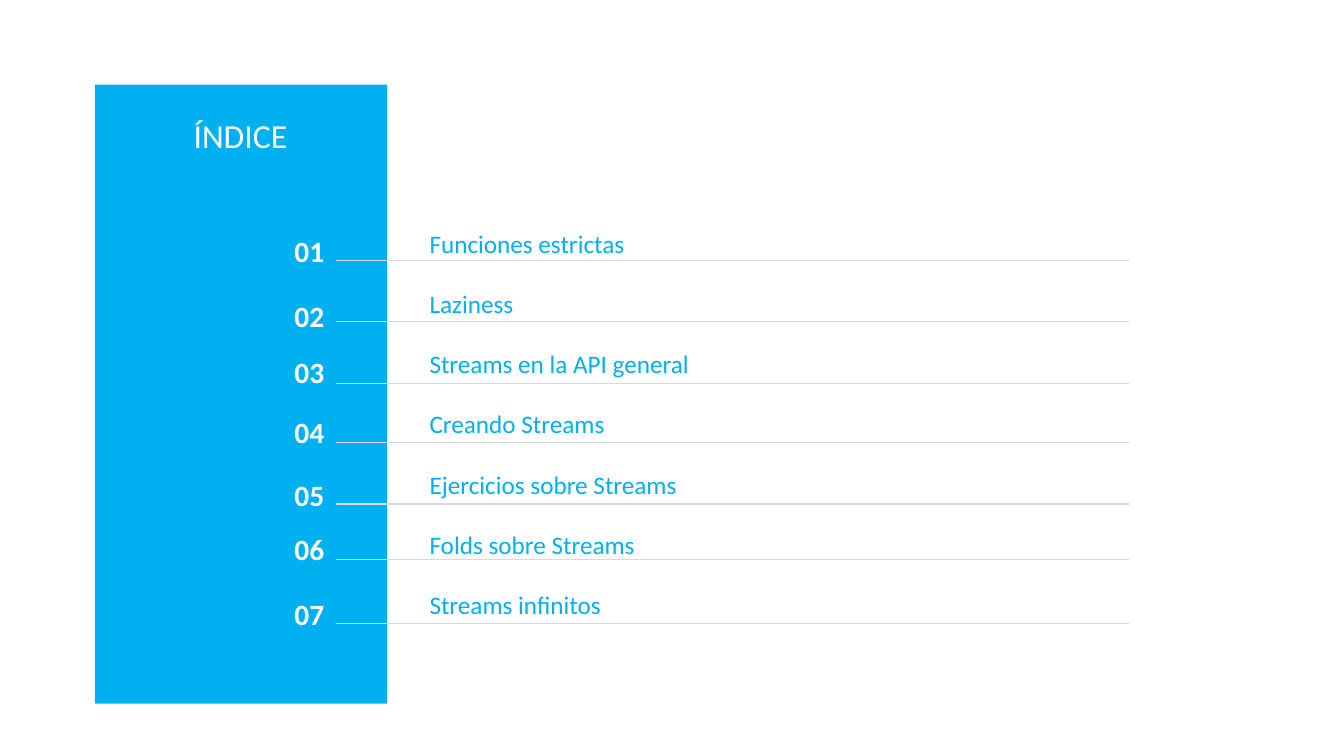
from lxml import etree
from pptx import Presentation
from pptx.dml.color import RGBColor
from pptx.enum.shapes import MSO_CONNECTOR, MSO_SHAPE
from pptx.enum.text import MSO_ANCHOR, MSO_AUTO_SIZE, PP_ALIGN
from pptx.oxml.ns import qn
from pptx.util import Inches, Pt

STRAIGHT = MSO_CONNECTOR.STRAIGHT
RECTANGLE = MSO_SHAPE.RECTANGLE
TOP = MSO_ANCHOR.TOP
NO_AUTOFIT = MSO_AUTO_SIZE.NONE
LEFT = PP_ALIGN.LEFT

FONT = "Calibri"
BLUE, WHITE, GREY = "00B0F0", "FFFFFF", "D9D9D9"

# Topic, top of its number, height of its rule
TOPICS = [
    ("Funciones estrictas", 2.24, 2.58),
    ("Laziness", 2.89, 3.19),
    ("Streams en la API general", 3.44, 3.8),
    ("Creando Streams", 4.04, 4.39),
    ("Ejercicios sobre Streams", 4.66, 5),
    ("Folds sobre Streams", 5.2, 5.55),
    ("Streams infinitos", 5.84, 6.19),
]


def rgb(color):
    return RGBColor.from_string(color)


def place(s, x, y, w, h):
    s.left, s.top, s.width, s.height = map(Inches, (x, y, w, h))


def set_frame(tf, inset_x, inset_y, wrap):
    tf.word_wrap = wrap
    tf.auto_size = NO_AUTOFIT
    tf.vertical_anchor = TOP
    tf.margin_left = tf.margin_right = Inches(inset_x)
    tf.margin_top = tf.margin_bottom = Inches(inset_y)


def set_paragraph(p, size, color, bold=False):
    p.alignment = LEFT
    p.font.name = FONT
    p.font.size = Pt(size)
    p.font.bold = bold
    p.font.color.rgb = rgb(color)


def remove_bullet(p):
    props = p._p.get_or_add_pPr()
    props.set("marL", "0")
    props.set("indent", "0")
    etree.SubElement(props, qn("a:buNone"))


def add_panel(slide, x, y, w, h):
    """Draw the blue panel behind everything, with the title on it."""
    s = slide.shapes.add_shape(RECTANGLE, *map(Inches, (x, y, w, h)))
    s.shadow.inherit = False
    s.fill.solid()
    s.fill.fore_color.rgb = rgb(BLUE)
    s.line.fill.background()
    slide.shapes._spTree.insert(2, s._element)

    title = slide.shapes.title
    place(title, x + 0.88, y + 0.25, 1.14, 0.5)
    title.text = "ÍNDICE"
    set_frame(title.text_frame, 0.1, 0.05, False)
    set_paragraph(title.text_frame.paragraphs[0], 24, WHITE)


def add_topics(slide, x, y, w, h):
    body = slide.placeholders[1]
    place(body, x, y, w, h)
    tf = body.text_frame
    tf.text = "\n".join(topic for topic, _, _ in TOPICS)
    set_frame(tf, 0.13, 0.07, True)
    for p in tf.paragraphs:
        set_paragraph(p, 18, BLUE)
        p.space_before = Pt(0)
        p.space_after = Pt(21.5)
        remove_bullet(p)


def add_rule(slide, x, y, w):
    line = slide.shapes.add_connector(
        STRAIGHT, Inches(x), Inches(y), Inches(x + w), Inches(y))
    line.line.color.rgb = rgb(GREY)
    line.line.width = Pt(0.75)
    etree.SubElement(line._element.spPr, qn("a:effectLst"))


def add_number(slide, number, x, y):
    s = slide.shapes.add_textbox(*map(Inches, (x, y, 0.69, 0.48)))
    set_frame(s.text_frame, 0.13, 0.07, False)
    p = s.text_frame.paragraphs[0]
    p.text = f"{number:02}"
    set_paragraph(p, 21, WHITE, bold=True)


def add_numbered_rules(slide, x, w):
    for number, (_, number_y, rule_y) in enumerate(TOPICS, 1):
        add_rule(slide, x + 0.54, rule_y, w - 0.54)
        add_number(slide, number, x, number_y)


def main():
    prs = Presentation()
    prs.slide_width, prs.slide_height = Inches(13.33), Inches(7.5)
    slide = prs.slides.add_slide(prs.slide_layouts[1])
    add_panel(slide, 0.94, 0.84, 2.9, 6.14)
    add_topics(slide, 4.13, 2.19, 7.86, 4.56)
    add_numbered_rules(slide, 2.79, 8.41)
    prs.save("out.pptx")


if __name__ == "__main__":
    main()
